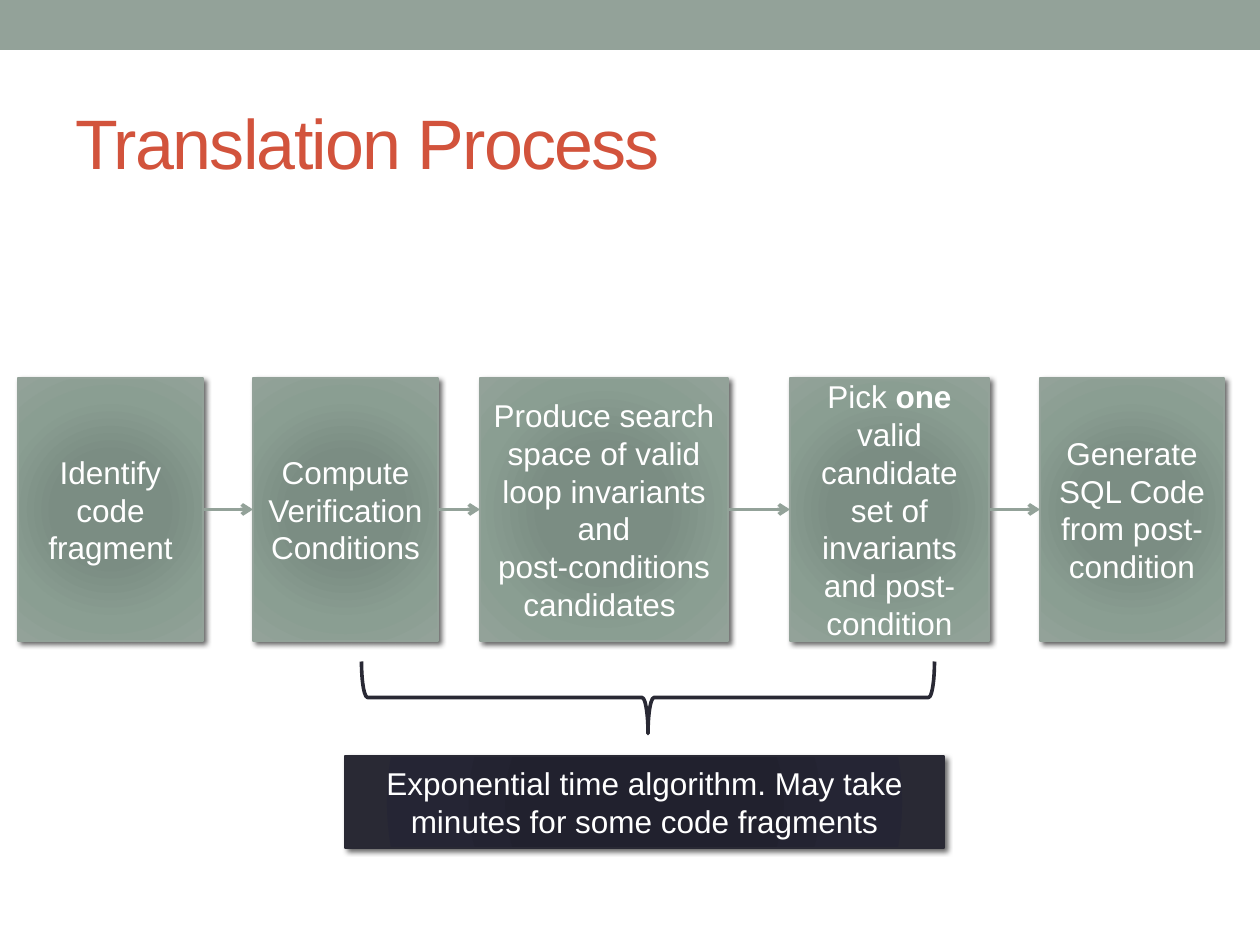
from pptx import Presentation
from pptx.dml.color import RGBColor
from pptx.enum.shapes import MSO_CONNECTOR, MSO_SHAPE
from pptx.enum.text import MSO_ANCHOR, PP_ALIGN
from pptx.oxml import parse_xml
from pptx.oxml.ns import nsdecls, qn
from pptx.util import Pt

# Content: bold words stand between asterisks
TITLE = "Translation Process"
STEPS = [  # left, width, paragraphs
    (18, 185, ["Identify code fragment"]),
    (253, 185, ["Compute Verification Conditions"]),
    (480, 248, ["Produce search space of valid loop invariants and",
                "post-conditions", "candidates "]),
    (790, 199, ["Pick *one* valid candidate set of invariants and post-condition"]),
    (1040, 184, ["Generate SQL Code from post-condition"]),
]
NOTE = ["Exponential time algorithm. May take minutes for some code fragments"]

COLORS = {"sage": "93A299", "title": "D2533C", "navy": "292934", "white": "FFFFFF"}
STOPS = (0, 34, 70, 100)
GRADIENTS = {
    "sage": ("7B8E82", "7B8D83", "8A9E92", "93A299"),
    "navy": ("21212F", "21212E", "252534", "292934"),
}
FONT = "Arial"
STEP_TOP, STEP_HEIGHT = 378, 263


def px(value):
    return round(value * 914400 / 126)


def rgb(name):
    return RGBColor.from_string(COLORS[name])


def style_font(font, size, color):
    font.name, font.size = FONT, Pt(size)
    font.color.rgb = rgb(color)


def add_plain(kind, left, top, width, height):
    shape = slide.shapes.add_shape(kind, px(left), px(top), px(width), px(height))
    shape.shadow.inherit = False
    return shape


def add_box(left, top, width, height, color, paragraphs):
    box = add_plain(MSO_SHAPE.RECTANGLE, left, top, width, height)
    box.line.color.rgb = rgb(color)
    box.line.width = Pt(0.75)

    # Radial fill and soft shadow
    stops = "".join(f'<a:gs pos="{position * 1000}"><a:srgbClr val="{value}"/></a:gs>'
                    for position, value in zip(STOPS, GRADIENTS[color]))
    properties = box.element.spPr
    properties.find(qn("a:prstGeom")).addnext(parse_xml(
        f'<a:gradFill {nsdecls("a")} rotWithShape="1"><a:gsLst>{stops}</a:gsLst>'
        '<a:path path="circle"><a:fillToRect l="100000" t="100000" r="100000" b="100000"/>'
        '</a:path></a:gradFill>'))
    properties.find(qn("a:effectLst")).append(parse_xml(
        f'<a:outerShdw {nsdecls("a")} blurRad="{Pt(3)}" dist="{Pt(2)}" dir="2700000" '
        'rotWithShape="0"><a:srgbClr val="000000"><a:alpha val="60000"/></a:srgbClr>'
        '</a:outerShdw>'))

    # Text
    frame = box.text_frame
    frame.word_wrap = True
    frame.vertical_anchor = MSO_ANCHOR.MIDDLE
    for index, text in enumerate(paragraphs):
        paragraph = frame.add_paragraph() if index else frame.paragraphs[0]
        paragraph.alignment = PP_ALIGN.CENTER
        for part, words in enumerate(text.split("*")):
            run = paragraph.add_run()
            run.text = words
            run.font.bold = part % 2 == 1
            style_font(run.font, 18, "white")
    return box


def add_arrow(start, end):
    arrow = slide.shapes.add_connector(MSO_CONNECTOR.STRAIGHT, 0, 0, 0, 0)
    arrow.begin_connect(start, 3)
    arrow.end_connect(end, 1)
    arrow.line.color.rgb = rgb("sage")
    arrow.line.width = Pt(2.08)
    arrow.line._get_or_add_ln().append(parse_xml(f'<a:tailEnd {nsdecls("a")} type="arrow"/>'))
    arrow.element.spPr.append(parse_xml(f'<a:effectLst {nsdecls("a")}/>'))


presentation = Presentation()
presentation.slide_width, presentation.slide_height = px(1260), px(945)
slide = presentation.slides.add_slide(presentation.slide_layouts[5])

# Top band
band = add_plain(MSO_SHAPE.RECTANGLE, 0, 0, 1260, 50)
band.fill.solid()
band.fill.fore_color.rgb = rgb("sage")
band.line.fill.background()

# Title
title = slide.shapes.title
title.left, title.top, title.width, title.height = px(63), px(73), px(1134), px(136)
title.text_frame.text = TITLE
title.text_frame.vertical_anchor = MSO_ANCHOR.MIDDLE
heading = title.text_frame.paragraphs[0]
heading.alignment = PP_ALIGN.LEFT
style_font(heading.runs[0].font, 40, "title")
heading.runs[0].font._element.set("spc", "-100")

# Steps and the arrows between them
boxes = [add_box(left, STEP_TOP, width, STEP_HEIGHT, "sage", paragraphs)
         for left, width, paragraphs in STEPS]
for start, end in zip(boxes, boxes[1:]):
    add_arrow(start, end)

# Brace, turned to point down at the note
brace = add_plain(MSO_SHAPE.RIGHT_BRACE, 612, 411, 72, 573)
brace.rotation = 90
brace.fill.background()
brace.line.color.rgb = rgb("navy")
brace.line.width = Pt(2.08)
add_box(345, 756, 599, 92, "navy", NOTE)

presentation.save("out.pptx")
